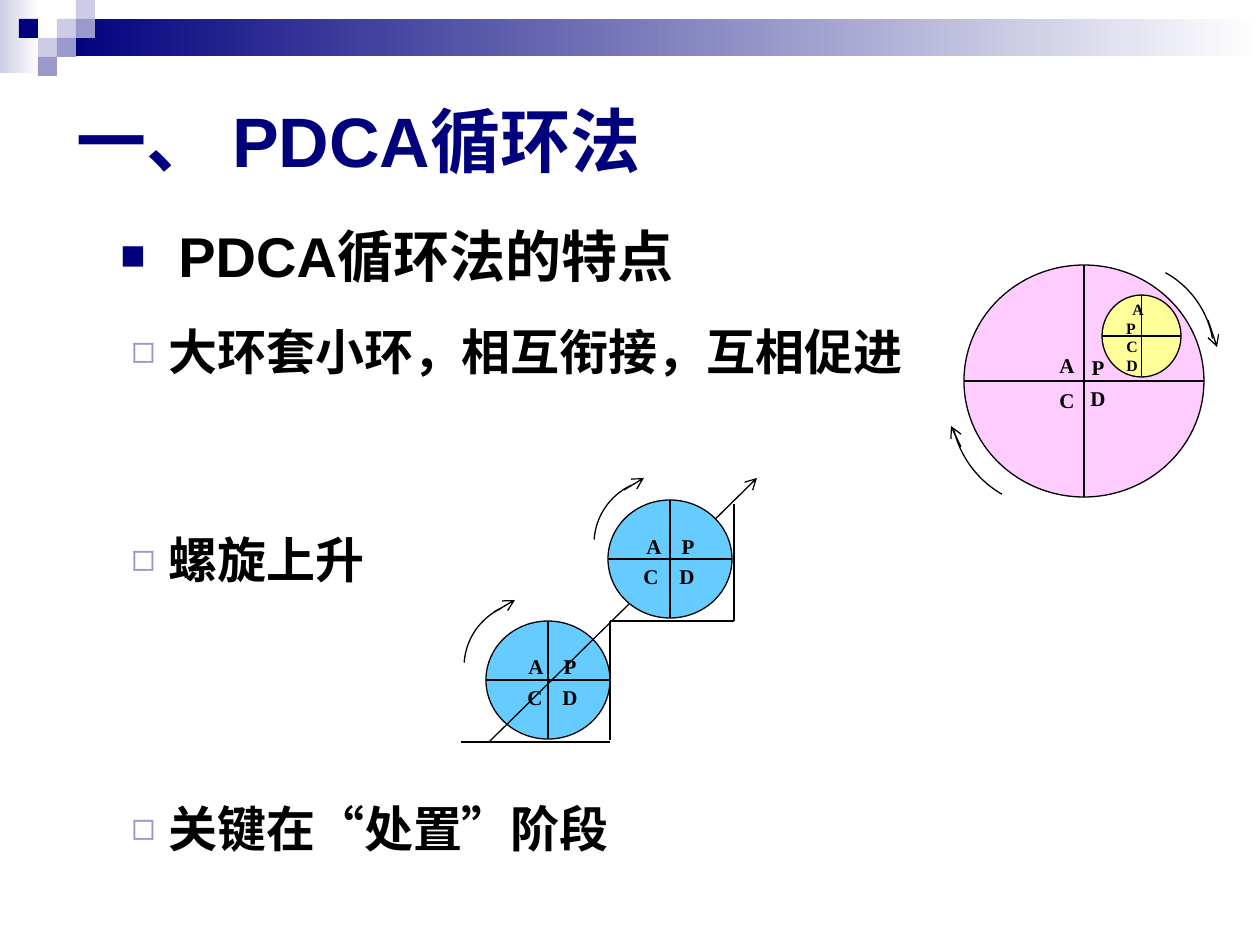
import pptx
import pptx.dml.color
import pptx.enum.dml
import pptx.enum.shapes
import pptx.enum.text
import pptx.oxml.ns
import pptx.util
from lxml import etree

SHAPE = pptx.enum.shapes.MSO_SHAPE
ALIGN = pptx.enum.text.PP_ALIGN
ANCHOR = pptx.enum.text.MSO_ANCHOR
EMU_PER_PX = 914400 / 126
COLORS = {
    "navy": "00007D", "violet": "9999CC", "lilac": "CCCCE6", "white": "FFFFFF",
    "black": "000000", "blue": "66CCFF", "pink": "FFCCFF", "yellow": "FFFF99",
}

TITLE = "一、 PDCA循环法"
# text, size pt, space before pt, left margin px, hanging px, bullet, colour, bullet %
POINTS = [
    ("PDCA循环法的特点", 32, 0, 72, 58, "■", "navy", 75),
    ("大环套小环，相互衔接，互相促进", 28, 19, 62, 37, "◻", "violet", 80),
    ("螺旋上升", 28, 85, 62, 37, "◻", "violet", 80),
    ("关键在“处置”阶段", 28, 120, 62, 37, "◻", "violet", 80),
]

# left, top, width, height, first colour, last colour
BANDS = [(0, 0, 39, 73, "lilac", "white"), (57, 19, 1203, 37, "navy", "white")]
CELL = 19
# column, row, colour
CELLS = [(3, 1, "lilac"), (4, 0, "lilac"), (4, 1, "violet"), (2, 2, "lilac"),
         (1, 1, "navy"), (3, 2, "violet"), (2, 3, "violet")]

# circle (left, top, width, height), colour, letter size, letter centres
LOWER_WHEEL = ((486, 621, 124, 118), "blue", 12,
               {"A": (536, 666), "P": (570, 666), "C": (535, 697), "D": (570, 697)})
UPPER_WHEEL = ((608, 500, 124, 118), "blue", 12,
               {"A": (654, 546), "P": (688, 546), "C": (651, 576), "D": (687, 576)})
BIG_WHEEL = ((964, 265, 240, 232), "pink", 12,
             {"A": (1067, 365), "P": (1098, 367), "C": (1067, 400), "D": (1098, 398)})
SMALL_WHEEL = ((1102, 295, 79, 82), "yellow", 9,
               {"A": (1138, 309), "P": (1131, 328), "C": (1132, 346), "D": (1132, 365)})

STAIRS = [((461, 742), (610, 742)), ((610, 740), (610, 621)),
          ((610, 621), (734, 621)), ((734, 621), (734, 504))]
CLIMB = ((489, 742), (757, 478))
# centre, radius, start and end degrees, arrow from, arrow to
TURNS = [
    ((529, 667), 65, 184, 245, (494, 612), (515, 600)),
    ((659, 544), 65, 184, 245, (624, 490), (644, 478)),
    ((1120, 355), 94, 299, 350, (1208, 320), (1217, 347)),
    ((1053, 406), 102, 120, 167, (961, 447), (951, 426)),
]


def px(value):
    return pptx.util.Emu(round(value * EMU_PER_PX))


def color(name):
    return pptx.dml.color.RGBColor.from_string(COLORS[name])


def add_span(para, text, size, font="Arial", ink="black"):
    span = para.add_run()
    span.text = text
    span.font.name = font
    span.font.size = pptx.util.Pt(size)
    span.font.bold = True
    span.font.color.rgb = color(ink)


def add_shape(slide, kind, box, fill=None, outlined=False):
    shape = slide.shapes.add_shape(kind, *map(px, box))
    shape.shadow.inherit = False
    if fill:
        shape.fill.solid()
        shape.fill.fore_color.rgb = color(fill)
    else:
        shape.fill.background()
    if outlined:
        shape.line.color.rgb = color("black")
        shape.line.width = pptx.util.Pt(0.75)
    else:
        shape.line.fill.background()
    return shape


def add_line(slide, start, end, arrow=False):
    line = slide.shapes.add_connector(
        pptx.enum.shapes.MSO_CONNECTOR.STRAIGHT, *map(px, (*start, *end)))
    line.line.color.rgb = color("black")
    line.line.width = pptx.util.Pt(0.75)
    if arrow:
        etree.SubElement(line.line._get_or_add_ln(),
                         pptx.oxml.ns.qn("a:tailEnd"), type="arrow")
    etree.SubElement(line._element.spPr, pptx.oxml.ns.qn("a:effectLst"))


def add_wheel(slide, circle, fill, size, letters):
    """Draw a circle cut into four quarters, with its letters."""
    left, top, width, height = circle
    middle_x, middle_y = left + width / 2, top + height / 2
    add_shape(slide, SHAPE.OVAL, circle, fill, outlined=True)
    add_line(slide, (left, middle_y), (left + width, middle_y))
    add_line(slide, (middle_x, top), (middle_x, top + height))
    for letter, (x, y) in letters.items():
        box = slide.shapes.add_textbox(*map(px, (x - 8, y - 14, 16, 28)))
        frame = box.text_frame
        frame.margin_left = frame.margin_right = 0
        frame.margin_top = frame.margin_bottom = 0
        frame.word_wrap = False
        frame.vertical_anchor = ANCHOR.MIDDLE
        para = frame.paragraphs[0]
        para.alignment = ALIGN.CENTER
        add_span(para, letter, size, "Times New Roman")


def add_turn(slide, center, radius, start, end, arrow_from, arrow_to):
    """Draw a circular arc, clockwise, that ends in an arrow."""
    box = (center[0] - radius, center[1] - radius, 2 * radius, 2 * radius)
    arc = add_shape(slide, SHAPE.ARC, box, outlined=True)
    # adjustments count 100000ths, angles count 60000ths of a degree
    arc.adjustments[0] = start * 0.6
    arc.adjustments[1] = end * 0.6
    add_line(slide, arrow_from, arrow_to, arrow=True)


def set_bullet(para, left, hanging, mark, ink, percent):
    props = para._p.get_or_add_pPr()
    props.set("marL", str(px(left)))
    props.set("indent", str(-px(hanging)))
    tint = etree.SubElement(props, pptx.oxml.ns.qn("a:buClr"))
    etree.SubElement(tint, pptx.oxml.ns.qn("a:srgbClr"), val=COLORS[ink])
    etree.SubElement(props, pptx.oxml.ns.qn("a:buSzPct"), val=str(percent * 1000))
    etree.SubElement(props, pptx.oxml.ns.qn("a:buFont"), typeface="Arial")
    etree.SubElement(props, pptx.oxml.ns.qn("a:buChar"), char=mark)


def add_header(slide):
    for *box, first, last in BANDS:
        band = add_shape(slide, SHAPE.RECTANGLE, box)
        band.fill.gradient()
        band.fill.gradient_angle = 0
        for stop, name, position in zip(band.fill.gradient_stops, (first, last), (0, 1)):
            stop.color.rgb = color(name)
            stop.position = position
    for column, row, name in CELLS:
        add_shape(slide, SHAPE.RECTANGLE, (column * CELL, row * CELL, CELL, CELL), name)


def add_texts(slide):
    title = slide.shapes.title
    title.left, title.top, title.width, title.height = map(px, (64, 60, 1134, 159))
    title.text_frame.vertical_anchor = ANCHOR.MIDDLE
    para = title.text_frame.paragraphs[0]
    para.alignment = ALIGN.LEFT
    add_span(para, TITLE, 40, ink="navy")

    frame = slide.shapes.add_textbox(*map(px, (94, 215, 853, 655))).text_frame
    frame.word_wrap = True
    for index, (text, size, before, *bullet) in enumerate(POINTS):
        para = frame.add_paragraph() if index else frame.paragraphs[0]
        para.space_before = pptx.util.Pt(before)
        set_bullet(para, *bullet)
        add_span(para, text, size)


def main():
    deck = pptx.Presentation()
    deck.slide_width, deck.slide_height = px(1260), px(945)
    slide = deck.slides.add_slide(deck.slide_layouts[5])
    add_header(slide)
    add_texts(slide)
    add_wheel(slide, *LOWER_WHEEL)
    for start, end in STAIRS:
        add_line(slide, start, end)
    add_line(slide, *CLIMB, arrow=True)
    for wheel in (UPPER_WHEEL, BIG_WHEEL, SMALL_WHEEL):
        add_wheel(slide, *wheel)
    for turn in TURNS:
        add_turn(slide, *turn)
    deck.save("out.pptx")


if __name__ == "__main__":
    main()
